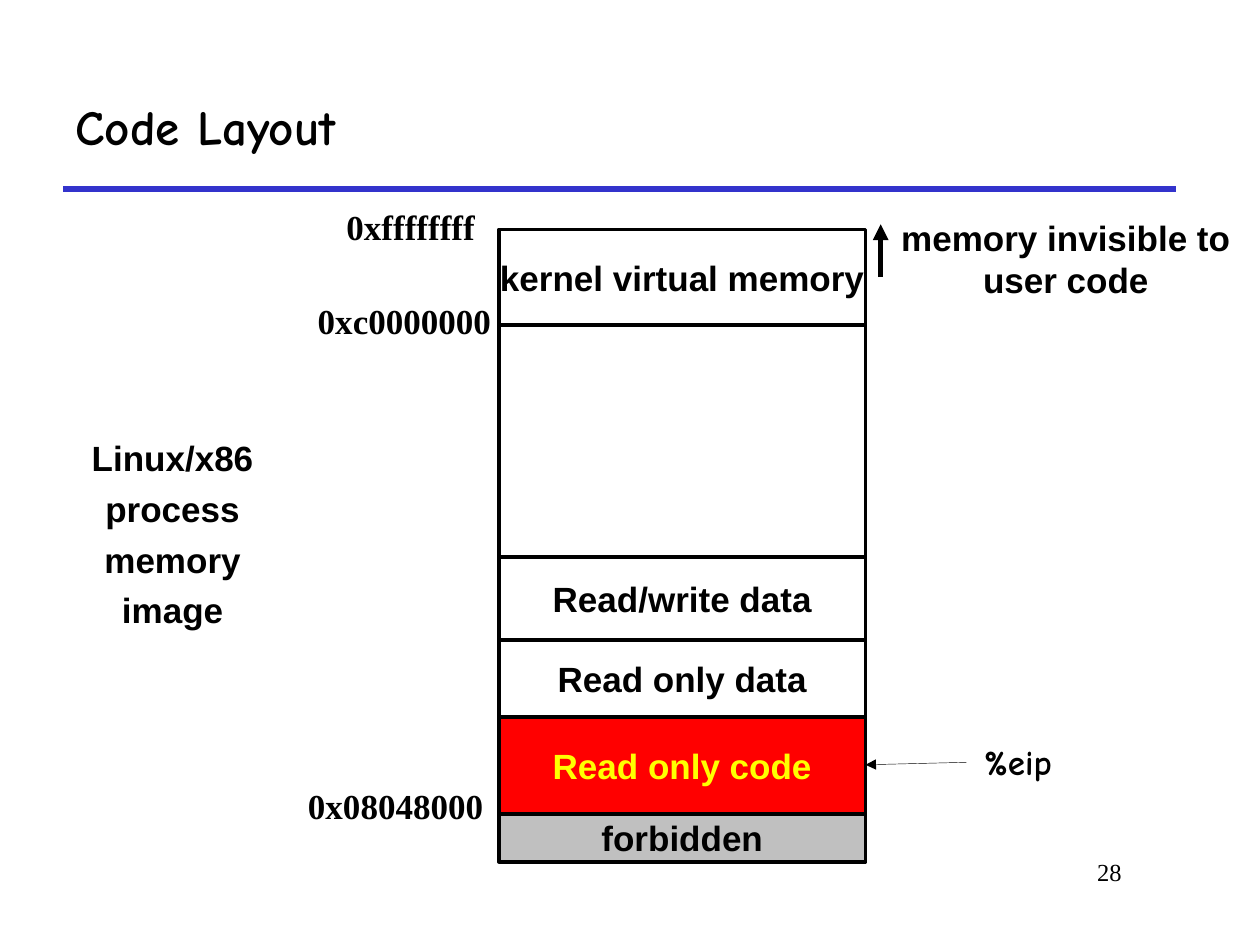
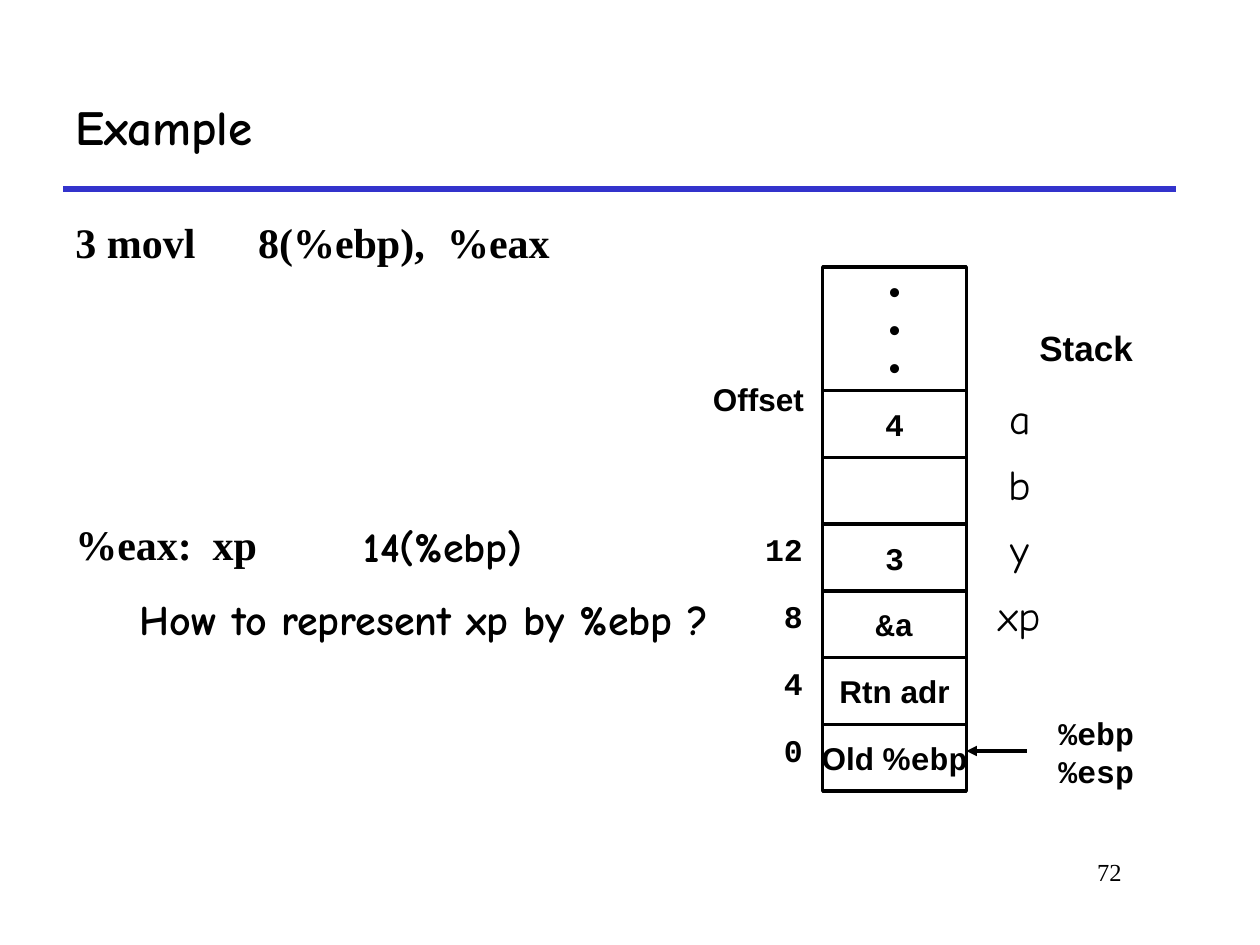
from dataclasses import dataclass

from lxml.etree import SubElement
from pptx import Presentation
from pptx.dml.color import RGBColor
from pptx.enum.shapes import MSO_CONNECTOR, MSO_SHAPE
from pptx.enum.text import MSO_ANCHOR, MSO_AUTO_SIZE, PP_ALIGN
from pptx.oxml.ns import qn
from pptx.util import Inches, Pt

BLACK = RGBColor(0x00, 0x00, 0x00)
WHITE = RGBColor(0xFF, 0xFF, 0xFF)
RED = RGBColor(0xFF, 0x00, 0x00)
YELLOW = RGBColor(0xFF, 0xFF, 0x00)
GREY = RGBColor(0xC0, 0xC0, 0xC0)
RULE_BLUE = RGBColor(0x33, 0x33, 0xCC)

SANS = "Arial"
SERIF = "Times New Roman"
COMIC = "Comic Neue"
MONO = "Courier New"

TITLE_ONLY_LAYOUT = 5


@dataclass(frozen=True)
class Run:
    text: str
    font: str = SANS
    size: int = 20
    color: RGBColor = BLACK
    bold: bool = True


Lines = tuple[tuple[Run, ...], ...]


@dataclass(frozen=True)
class Label:
    left: float
    top: float
    width: float
    height: float
    lines: Lines
    align: PP_ALIGN = PP_ALIGN.CENTER
    line_spacing: float = 1.0
    gap: float = 0
    tabs: tuple[float, ...] = ()


@dataclass(frozen=True)
class Cell:
    height: float
    lines: Lines = ()
    fill: RGBColor = WHITE


@dataclass(frozen=True)
class Line:
    start: tuple[float, float]
    end: tuple[float, float]
    width: float
    color: RGBColor = BLACK
    arrow: bool = True


def lines_of(*texts: str, font: str = SANS, size: int = 20, color: RGBColor = BLACK) -> Lines:
    return tuple((Run(text, font, size, color),) for text in texts)


def write_lines(text_frame, lines: Lines, align: PP_ALIGN) -> None:
    for index, runs in enumerate(lines):
        paragraph = text_frame.paragraphs[0] if index == 0 else text_frame.add_paragraph()
        paragraph.alignment = align
        for item in runs:
            run = paragraph.add_run()
            run.text = item.text
            run.font.name = item.font
            run.font.size = Pt(item.size)
            run.font.bold = item.bold
            run.font.color.rgb = item.color


def draw_label(slide, label: Label) -> None:
    box = slide.shapes.add_textbox(
        Inches(label.left), Inches(label.top), Inches(label.width), Inches(label.height)
    )
    text_frame = box.text_frame
    text_frame.word_wrap = True
    text_frame.auto_size = MSO_AUTO_SIZE.SHAPE_TO_FIT_TEXT
    write_lines(text_frame, label.lines, label.align)
    for index, paragraph in enumerate(text_frame.paragraphs):
        if label.tabs:
            tab_list = SubElement(paragraph._p.get_or_add_pPr(), qn("a:tabLst"))
            for position in label.tabs:
                SubElement(tab_list, qn("a:tab"), pos=str(Inches(position)), algn="l")
        paragraph.line_spacing = label.line_spacing
        if index:
            paragraph.space_before = Pt(label.gap)


def draw_line(slide, line: Line) -> None:
    connector = slide.shapes.add_connector(
        MSO_CONNECTOR.STRAIGHT, *(Inches(value) for value in line.start + line.end)
    )
    connector.line.color.rgb = line.color
    connector.line.width = Pt(line.width)
    if line.arrow:
        SubElement(connector.line._get_or_add_ln(), qn("a:tailEnd"), type="triangle")
    SubElement(connector._element.spPr, qn("a:effectLst"))


def draw_column(slide, left: float, top: float, width: float, cells: list[Cell]) -> None:
    for cell in cells:
        shape = slide.shapes.add_shape(
            MSO_SHAPE.RECTANGLE, Inches(left), Inches(top), Inches(width), Inches(cell.height)
        )
        shape.shadow.inherit = False
        shape.fill.solid()
        shape.fill.fore_color.rgb = cell.fill
        shape.line.color.rgb = BLACK
        shape.line.width = Pt(2)
        shape.text_frame.word_wrap = False
        shape.text_frame.vertical_anchor = MSO_ANCHOR.MIDDLE
        write_lines(shape.text_frame, cell.lines, PP_ALIGN.CENTER)
        top += cell.height


def draw_name_table(slide, left: float, top: float, width: float, row_height: float,
                    names: list[str]) -> None:
    frame = slide.shapes.add_table(
        len(names), 1, Inches(left), Inches(top), Inches(width), Inches(row_height * len(names))
    )
    table = frame.table
    table.first_row = False
    table.horz_banding = False
    for row, name in enumerate(names):
        cell = table.cell(row, 0)
        cell.fill.solid()
        cell.fill.fore_color.rgb = WHITE
        write_lines(cell.text_frame, ((Run(name, COMIC, 24, bold=False),),), PP_ALIGN.CENTER)


def add_slide(presentation, title_text: str, number: str):
    slide = presentation.slides.add_slide(presentation.slide_layouts[TITLE_ONLY_LAYOUT])
    title = slide.shapes.title
    title.left, title.top = Inches(0.5), Inches(0.5)
    title.width, title.height = Inches(8.83), Inches(1)
    title.text_frame.auto_size = MSO_AUTO_SIZE.NONE
    title.text_frame.vertical_anchor = MSO_ANCHOR.MIDDLE
    write_lines(title.text_frame, lines_of(title_text, font=COMIC, size=28), PP_ALIGN.LEFT)
    draw_line(slide, Line((0.5, 1.5), (9.33, 1.5), 3, RULE_BLUE, arrow=False))
    page_number = ((Run(number, SERIF, 14, bold=False),),)
    draw_label(slide, Label(7.58, 6.75, 1.42, 0.5, page_number, PP_ALIGN.RIGHT))
    return slide


def build_code_layout(presentation) -> None:
    slide = add_slide(presentation, "Code Layout", "28")
    regions = [
        Cell(0.76, lines_of("kernel virtual memory")),
        Cell(1.84),
        Cell(0.66, lines_of("Read/write data")),
        Cell(0.61, lines_of("Read only data")),
        Cell(0.77, lines_of("Read only code", color=YELLOW), RED),
        Cell(0.38, lines_of("forbidden"), GREY),
    ]
    draw_column(slide, 3.96, 1.82, 2.91, regions)
    labels = [
        Label(7.01, 1.67, 2.9, 0.77, lines_of("memory invisible to", "user code")),
        Label(0.57, 3.45, 1.6, 1.61, lines_of("Linux/x86", "process", "memory", "image"),
              line_spacing=0.9, gap=7.5),
        Label(2.46, 1.58, 1.6, 0.44, lines_of("0xffffffff", font=SERIF)),
        Label(2.41, 2.33, 1.6, 0.44, lines_of("0xc0000000", font=SERIF)),
        Label(2.34, 6.18, 1.6, 0.44, lines_of("0x08048000", font=SERIF)),
        Label(7.58, 5.83, 1, 0.44, lines_of("%eip", font=COMIC)),
    ]
    for label in labels:
        draw_label(slide, label)
    draw_line(slide, Line((6.99, 2.2), (6.99, 1.78), 3))
    draw_line(slide, Line((7.67, 6.05), (6.87, 6.07), 0.25))


def build_example(presentation) -> None:
    slide = add_slide(presentation, "Example", "72")
    stack_left, stack_top, stack_width = 6.53, 3.1, 1.14
    dots_height, word_height = 0.98, 0.53
    words: list[Lines] = [
        lines_of("4", font=MONO, size=18),
        (),
        lines_of("3", font=MONO, size=18),
        lines_of("&a", font=MONO, size=18),
        lines_of("Rtn adr", size=18),
        ((Run("Old %", SANS, 18), Run("ebp", MONO, 18)),),
    ]
    cells = [Cell(dots_height, lines_of("•", "•", "•", size=18))]
    cells += [Cell(word_height, word) for word in words]
    draw_column(slide, stack_left, stack_top - dots_height, stack_width, cells)

    for row, offset in enumerate(["12", "8", "4", "0"], start=2):
        text = lines_of(offset, font=MONO, size=18)
        top = stack_top + row * word_height
        draw_label(slide, Label(5.82, top, 0.65, 0.4, text, PP_ALIGN.RIGHT))

    labels = [
        Label(0.5, 1.67, 4.5, 0.5, lines_of("3 movl\t8(%ebp),\t%eax", font=SERIF, size=24),
              PP_ALIGN.LEFT, tabs=(1.45, 2.95)),
        Label(0.5, 4.07, 2.2, 0.5, lines_of("%eax:\txp", font=SERIF, size=24),
              PP_ALIGN.LEFT, tabs=(1.09,)),
        Label(1.01, 4.66, 4.9, 0.5,
              lines_of("How to represent xp by %ebp ?", font=COMIC, size=24), PP_ALIGN.LEFT),
        Label(2.79, 4.08, 1.6, 0.5, lines_of("14(%ebp)", font=COMIC, size=24), PP_ALIGN.LEFT),
        Label(8.2, 5.62, 1, 0.7, lines_of("%ebp", "%esp", font=MONO, size=18)),
        Label(5.47, 2.97, 1.1, 0.4, lines_of("Offset", size=18)),
        Label(8.07, 2.54, 1.1, 0.44, lines_of("Stack")),
    ]
    for label in labels:
        draw_label(slide, label)
    draw_line(slide, Line((8.15, 5.96), (7.67, 5.96), 2))
    draw_name_table(slide, 7.76, stack_top, 0.67, 0.52, ["a", "b", "y", "xp"])


def main() -> None:
    presentation = Presentation()
    presentation.slide_width = Inches(10)
    presentation.slide_height = Inches(7.5)
    build_code_layout(presentation)
    build_example(presentation)
    presentation.save("out.pptx")


if __name__ == "__main__":
    main()
